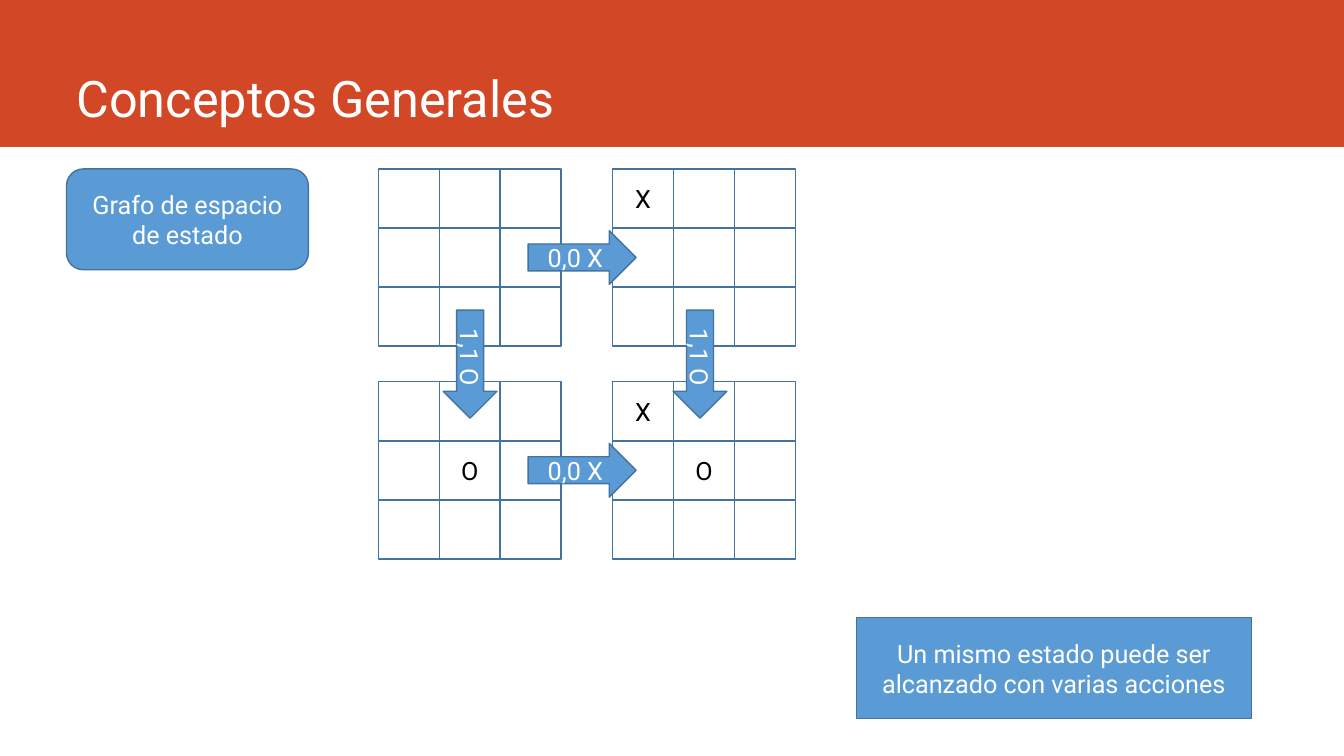
from pptx import Presentation
from pptx.dml.color import RGBColor
from pptx.enum import shapes, text
from pptx.util import Pt

RED, BLUE, EDGE = "D24726", "5B9BD5", "43739E"
WHITE, BLACK = "FFFFFF", "000000"
KIND = shapes.MSO_SHAPE

deck = Presentation()
deck.slide_width, deck.slide_height = Pt(960), Pt(540)
slide = deck.slides.add_slide(deck.slide_layouts[6])


def write(shape, words, size, ink):
    run = shape.text_frame.paragraphs[0].add_run()
    run.text = words
    run.font.size = Pt(size)
    run.font.name = "Roboto"
    run.font.color.rgb = RGBColor.from_string(ink)


def draw(kind, left, top, width, height, fill, edge=EDGE, words="", ink=WHITE):
    shape = slide.shapes.add_shape(kind, Pt(left), Pt(top), Pt(width), Pt(height))
    shape.shadow.inherit = False
    shape.fill.solid()
    shape.fill.fore_color.rgb = RGBColor.from_string(fill)
    if edge:
        shape.line.color.rgb = RGBColor.from_string(edge)
        shape.line.width = Pt(1)
    else:
        shape.line.fill.background()
    if words:
        shape.text_frame.word_wrap = True
        shape.text_frame.vertical_anchor = text.MSO_ANCHOR.MIDDLE
        shape.text_frame.paragraphs[0].alignment = text.PP_ALIGN.CENTER
        write(shape, words, 18, ink)
    return shape


# Title band
draw(KIND.RECTANGLE, 0, 0, 960, 105, RED, edge=None)
title = slide.shapes.add_textbox(Pt(47.5), Pt(0), Pt(847), Pt(95))
title.text_frame.word_wrap = True
title.text_frame.vertical_anchor = text.MSO_ANCHOR.BOTTOM
write(title, "Conceptos Generales", 36, WHITE)

# Topic label
draw(KIND.ROUNDED_RECTANGLE, 47.5, 120.7, 172.8, 72, BLUE,
     words="Grafo de espacio de estado")

# Boards: left, top, marks by (row, column)
CELL_W, CELL_H = 43.5, 42.2
LEFT, RIGHT, UPPER, LOWER = 270.3, 437.6, 120.7, 272.7
boards = [
    (LEFT, UPPER, {}),
    (RIGHT, UPPER, {(0, 0): "X"}),
    (RIGHT, LOWER, {(0, 0): "X", (1, 1): "O"}),
    (LEFT, LOWER, {(1, 1): "O"}),
]
for left, top, marks in boards:
    for row in range(3):
        for col in range(3):
            draw(KIND.RECTANGLE, left + col * CELL_W, top + row * CELL_H,
                 CELL_W, CELL_H, WHITE, words=marks.get((row, col), ""), ink=BLACK)

# Moves between boards
LONG, WIDE = 77.2, 38.4
for top in (164.7, 316.7):
    draw(KIND.RIGHT_ARROW, 377.2, top, LONG, WIDE, BLUE, words="0,0 X")
for left in (316.6, 480.8):
    arrow = draw(KIND.DOWN_ARROW, left, 221.5, WIDE, LONG, BLUE, words="1,1 O")
    arrow.text_frame._txBody.bodyPr.set("vert", "vert")

# Remark
draw(KIND.RECTANGLE, 611.7, 441.2, 282.3, 72, BLUE,
     words="Un mismo estado puede ser alcanzado con varias acciones")

deck.save("out.pptx")
